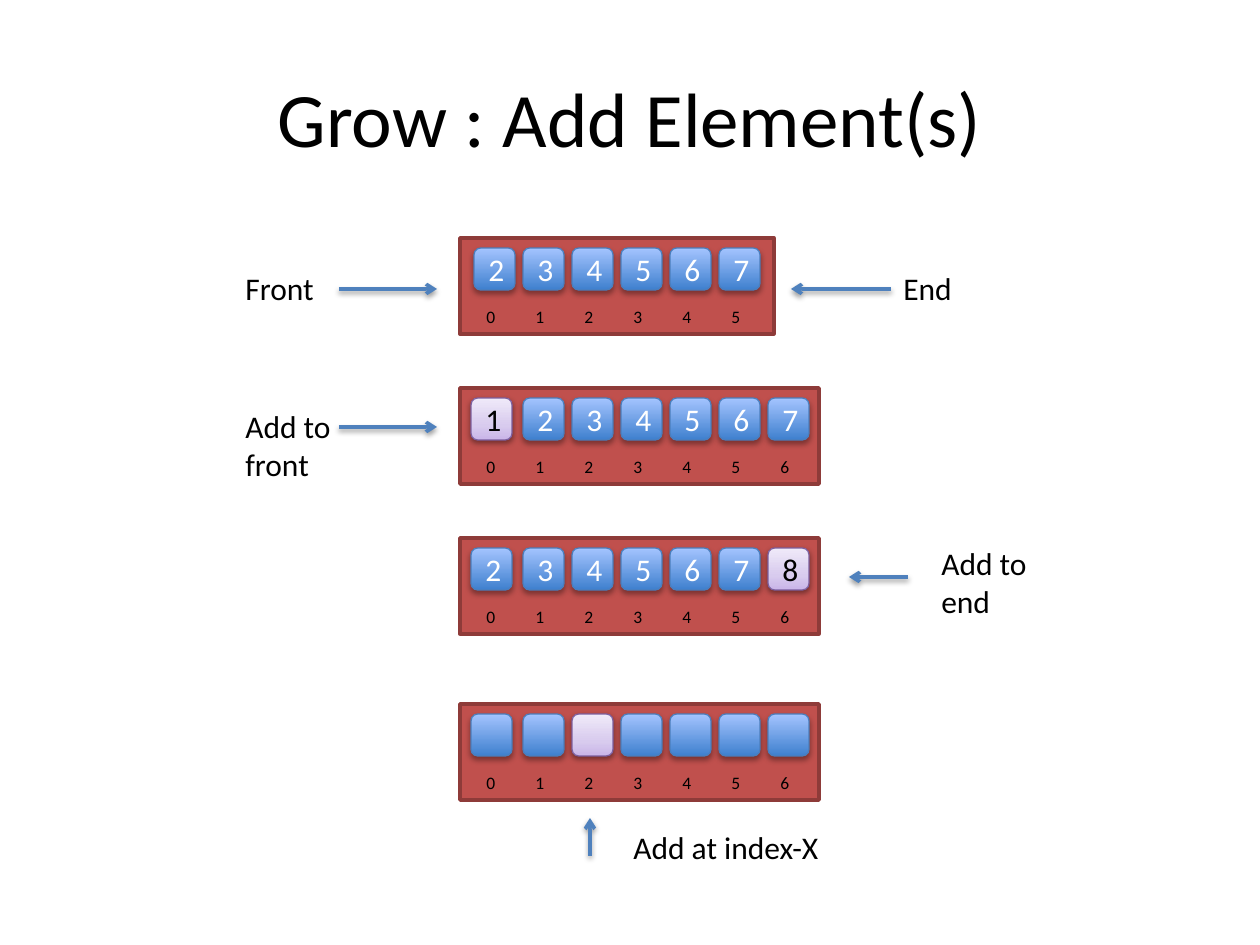
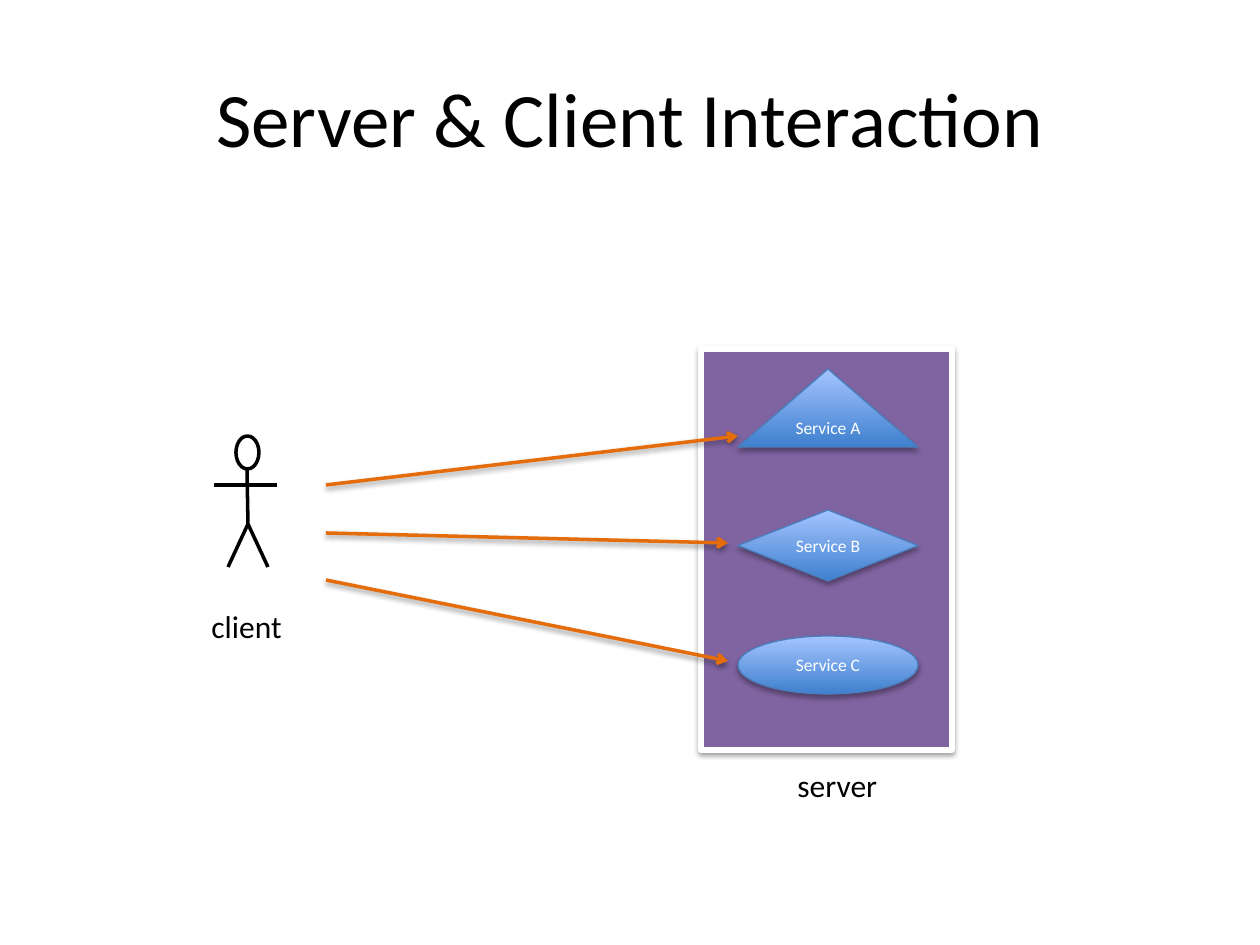
from copy import deepcopy

from lxml.etree import SubElement
from pptx import Presentation
from pptx.dml.color import RGBColor
from pptx.enum.shapes import MSO_CONNECTOR, MSO_SHAPE
from pptx.enum.text import MSO_ANCHOR, MSO_AUTO_SIZE, PP_ALIGN
from pptx.oxml.ns import qn
from pptx.util import Emu, Pt

PX_PER_INCH = 126
FONT = "Calibri"

BLACK = RGBColor(0x00, 0x00, 0x00)
WHITE = RGBColor(0xFF, 0xFF, 0xFF)
RED = RGBColor(0xC0, 0x50, 0x4D)
DARK_RED = RGBColor(0x8E, 0x3B, 0x39)
BLUE = RGBColor(0x4F, 0x81, 0xBD)
BLUE_EDGE = RGBColor(0x4B, 0x7E, 0xBC)
PURPLE = RGBColor(0x80, 0x64, 0xA2)
LAVENDER_EDGE = RGBColor(0x7D, 0x60, 0xA0)
ORANGE = RGBColor(0xE4, 0x6C, 0x0A)

# Gradient stops run from the bottom of a shape to its top.
BLUE_STOPS = [(0, RGBColor(0x3F, 0x80, 0xCE)), (1, RGBColor(0xA4, 0xC4, 0xFF))]
LAVENDER_STOPS = [
    (0, RGBColor(0xC9, 0xB5, 0xE8)),
    (0.35, RGBColor(0xD8, 0xCB, 0xEE)),
    (1, RGBColor(0xF0, 0xEA, 0xF9)),
]
SOFT_SHADOW = {"opacity": 38, "distance": 1.6}
CELL_SHADOW = {"opacity": 35, "distance": 1.8}

ARRAY_LEFT, ARRAY_HEIGHT = 460, 96
CELL_LEFT, CELL_PITCH = 474, 49
CELL_WIDTH, CELL_HEIGHT = 41, 42


def px(*lengths):
    return [Emu(round(length * 914400 / PX_PER_INCH)) for length in lengths]


def write_text(text_frame, text, size=18, color=BLACK, align=PP_ALIGN.LEFT,
               anchor=MSO_ANCHOR.TOP):
    """Fill the frame, one paragraph for each line of text."""
    text_frame.text = text
    text_frame.vertical_anchor = anchor
    for paragraph in text_frame.paragraphs:
        paragraph.alignment = align
        paragraph.font.name = FONT
        paragraph.font.size = Pt(size)
        paragraph.font.color.rgb = color


def set_shadow(shape, opacity, distance):
    """Replace the theme's effects by a shadow that falls straight down."""
    properties = shape._element.spPr
    effects = properties.find(qn("a:effectLst"))
    if effects is None:
        effects = SubElement(properties, qn("a:effectLst"))
    if opacity:
        shadow = SubElement(effects, qn("a:outerShdw"), blurRad=str(Pt(3.1)),
                            dist=str(Pt(distance)), dir="5400000", rotWithShape="0")
        color = SubElement(shadow, qn("a:srgbClr"), val=str(BLACK))
        SubElement(color, qn("a:alpha"), val=str(opacity * 1000))


def set_gradient(shape, stops):
    shape.fill.gradient()
    shape.fill.gradient_angle = 90
    stop_list = shape._element.spPr.find(".//" + qn("a:gsLst"))
    while len(stop_list) < len(stops):
        stop_list.append(deepcopy(stop_list[0]))
    for stop, (position, color) in zip(shape.fill.gradient_stops, stops):
        stop.position = position
        stop.color.rgb = color


def add_box(shapes, kind, box, fill, edge, edge_width, shadow=None):
    """Add a preset shape; fill is one colour or a list of gradient stops."""
    shape = shapes.add_shape(kind, *px(*box))
    if isinstance(fill, list):
        set_gradient(shape, fill)
    else:
        shape.fill.solid()
        shape.fill.fore_color.rgb = fill
    shape.line.color.rgb = edge
    shape.line.width = Pt(edge_width)
    shape.shadow.inherit = False
    if shadow:
        set_shadow(shape, **shadow)
    return shape


def add_glossy_shape(shapes, kind, box, text, size=18, highlighted=False):
    if highlighted:
        look = (LAVENDER_STOPS, LAVENDER_EDGE, 0.75, SOFT_SHADOW)
    else:
        look = (BLUE_STOPS, BLUE_EDGE, 0.75, CELL_SHADOW)
    shape = add_box(shapes, kind, box, *look)
    if text:
        write_text(shape.text_frame, text, size=size,
                   color=BLACK if highlighted else WHITE,
                   align=PP_ALIGN.CENTER, anchor=MSO_ANCHOR.MIDDLE)


def add_label(shapes, box, text, wrap=False, **text_format):
    text_frame = shapes.add_textbox(*px(*box)).text_frame
    text_frame.word_wrap = wrap
    text_frame.auto_size = MSO_AUTO_SIZE.SHAPE_TO_FIT_TEXT
    write_text(text_frame, text, **text_format)


def add_line(shapes, start, end, color, arrow=False):
    line = shapes.add_connector(MSO_CONNECTOR.STRAIGHT, *px(*start, *end))
    line.line.color.rgb = color
    line.line.width = Pt(2)
    if arrow:
        SubElement(line.line._get_or_add_ln(), qn("a:tailEnd"), type="arrow")
        set_shadow(line, **SOFT_SHADOW)
    else:
        set_shadow(line, opacity=0, distance=0)


def add_array(shapes, top, values, highlighted=None):
    """Draw an array with its cells and, below them, their indexes."""
    grown = len(values) == 7
    width = 359 if grown else 314
    add_box(shapes, MSO_SHAPE.RECTANGLE, (ARRAY_LEFT, top, width, ARRAY_HEIGHT),
            RED, DARK_RED, 2)
    for index, value in enumerate(values):
        left = CELL_LEFT + index * CELL_PITCH
        cell_left = left - 3 if grown and index == 0 else left
        add_glossy_shape(shapes, MSO_SHAPE.ROUNDED_RECTANGLE,
                         (cell_left, top + 10, CELL_WIDTH, CELL_HEIGHT),
                         value, highlighted=index == highlighted)
        add_label(shapes, (left, top + 62, CELL_WIDTH, 34), str(index),
                  wrap=True, size=10)


def add_client(shapes):
    figure = shapes.add_group_shape().shapes
    neck, hip = (247, 469), (248, 524)
    add_box(figure, MSO_SHAPE.OVAL, (236, 436, 23, 33), WHITE, BLACK, 2)
    for start, end in [
        (neck, hip),
        (hip, (268, 567)),
        (hip, (228, 567)),
        ((277, 485), (214, 485)),
    ]:
        add_line(figure, start, end, BLACK)
    add_label(shapes, (199, 601, 97, 50), "client")


def add_titled_slide(presentation, title):
    slide = presentation.slides.add_slide(presentation.slide_layouts[5])
    placeholder = slide.shapes.title
    placeholder.left, placeholder.top, placeholder.width, placeholder.height = px(
        63, 38, 1134, 158)
    write_text(placeholder.text_frame, title, size=44,
               align=PP_ALIGN.CENTER, anchor=MSO_ANCHOR.MIDDLE)
    return slide.shapes


def build_grow_slide(presentation):
    shapes = add_titled_slide(presentation, "Grow : Add Element(s)")
    add_array(shapes, 238, "234567")
    add_array(shapes, 388, "1234567", highlighted=0)
    add_array(shapes, 538, "2345678", highlighted=6)
    add_array(shapes, 704, [""] * 7, highlighted=2)

    add_label(shapes, (233, 263, 96, 50), "Front")
    add_label(shapes, (891, 263, 74, 50), "End")
    add_label(shapes, (233, 401, 112, 89), "Add to\nfront")
    add_label(shapes, (929, 538, 112, 89), "Add to\nend")
    add_label(shapes, (621, 822, 280, 50), "Add at index-X", wrap=True)

    for start, end in [
        ((339, 289), (437, 289)),
        ((891, 289), (791, 289)),
        ((339, 427), (437, 427)),
        ((908, 577), (849, 577)),
        ((590, 856), (590, 818)),
    ]:
        add_line(shapes, start, end, BLUE, arrow=True)


def build_interaction_slide(presentation):
    shapes = add_titled_slide(presentation, "Server & Client Interaction")
    add_client(shapes)
    add_box(shapes, MSO_SHAPE.RECTANGLE, (701, 349, 251, 401),
            PURPLE, WHITE, 3, SOFT_SHADOW)
    add_label(shapes, (785, 760, 106, 50), "server")

    for name, kind, top, height, start, end in [
        ("Service A", MSO_SHAPE.ISOSCELES_TRIANGLE, 369, 78, (326, 485), (738, 436)),
        ("Service B", MSO_SHAPE.DIAMOND, 510, 71, (326, 533), (728, 543)),
        ("Service C", MSO_SHAPE.OVAL, 636, 58, (326, 580), (728, 661)),
    ]:
        add_glossy_shape(shapes, kind, (738, top, 180, height), name, size=10)
        add_line(shapes, start, end, ORANGE, arrow=True)


def main():
    presentation = Presentation()
    presentation.slide_width, presentation.slide_height = px(1260, 945)
    build_grow_slide(presentation)
    build_interaction_slide(presentation)
    presentation.save("out.pptx")


if __name__ == "__main__":
    main()
